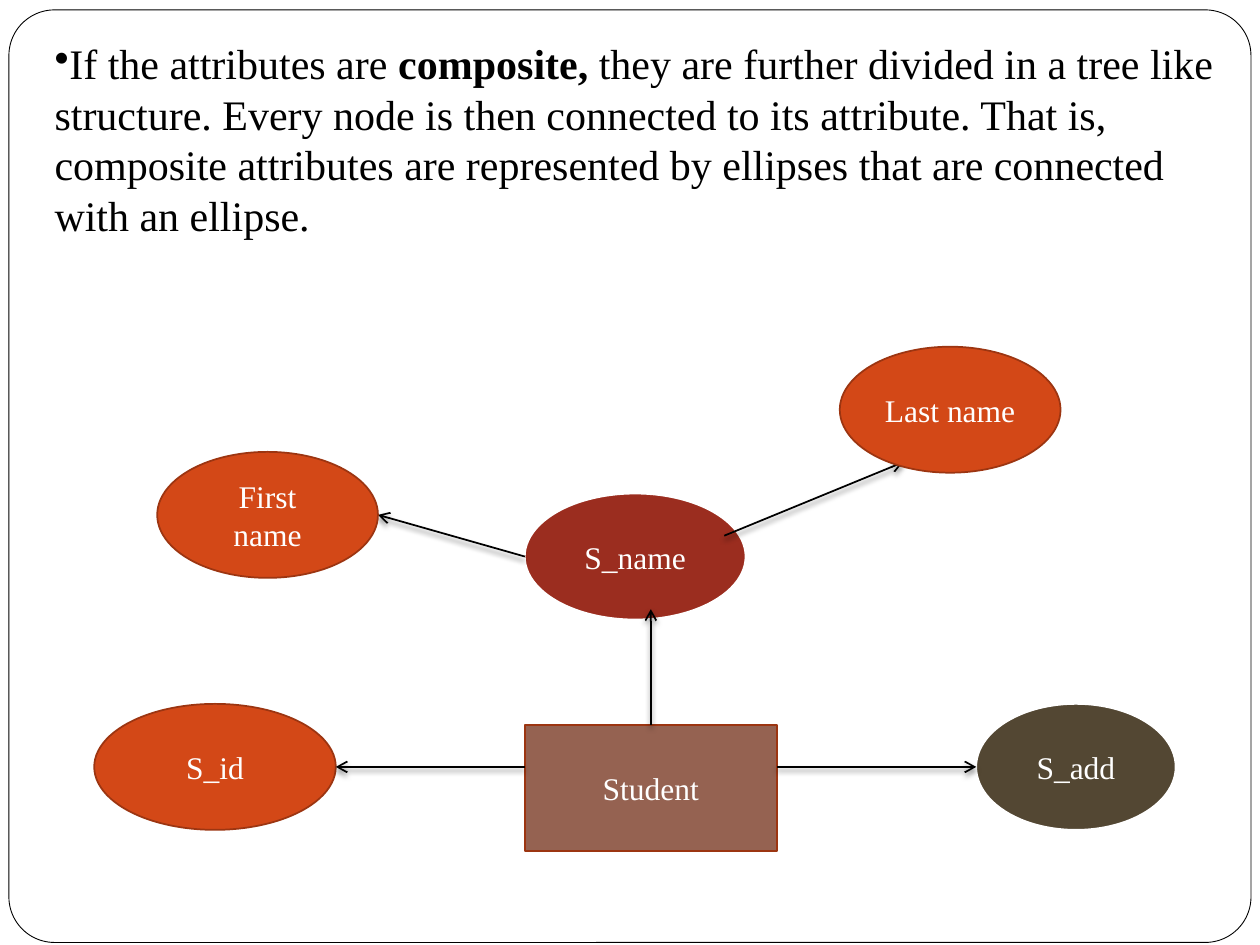
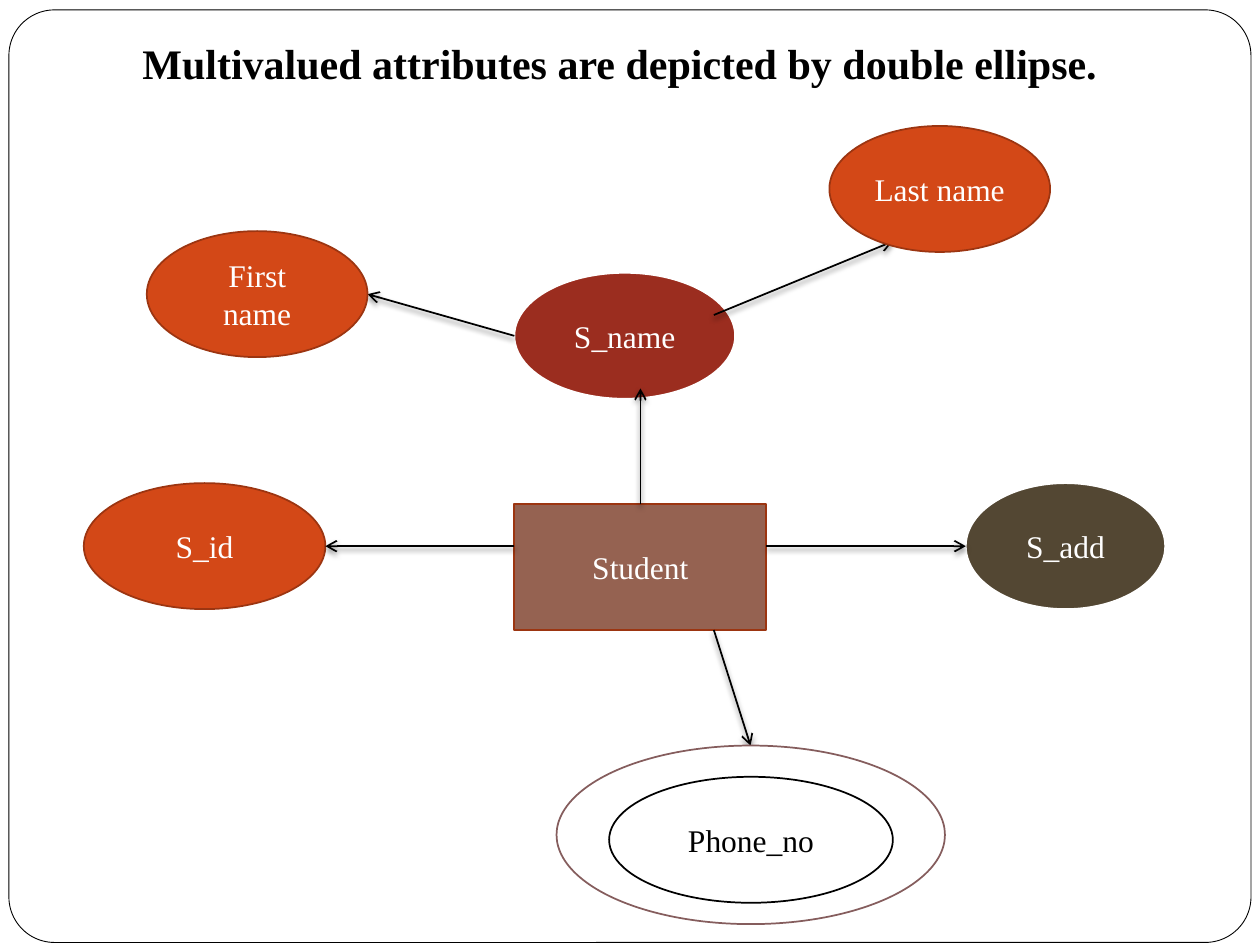
from dataclasses import dataclass
from lxml.etree import SubElement
from pptx import Presentation
from pptx.dml.color import RGBColor
from pptx.enum.shapes import MSO_CONNECTOR, MSO_SHAPE
from pptx.enum.text import MSO_ANCHOR, PP_ALIGN
from pptx.oxml.ns import qn
from pptx.util import Cm, Pt


@dataclass(frozen=True)
class Theme:
    font: str = "Times New Roman"
    heading: int = 24
    label: int = 18
    line: float = 1
    frame_line: float = 0.5
    black: str = "000000"
    white: str = "FFFFFF"
    orange: str = "D34817"
    rust: str = "9C3511"
    red: str = "9B2D1F"
    brown: str = "956251"
    olive: str = "534733"
    mauve: str = "855D5D"


T = Theme()


def put(s, text, at, shape=None, fill=T.white, line=T.white, width=T.line,
        size=T.label, color=T.white, align=PP_ALIGN.CENTER, bullet=False):
    box = [Cm(v) for v in at]
    if shape is None:
        sp = s.shapes.add_textbox(*box)
    else:
        sp = s.shapes.add_shape(shape, *box)
        sp.shadow.inherit = False
        sp.fill.solid()
        sp.fill.fore_color.rgb = RGBColor.from_string(fill)
        sp.line.color.rgb = RGBColor.from_string(line)
        sp.line.width = Pt(width)
    tf = sp.text_frame
    tf.word_wrap = True
    tf.vertical_anchor = MSO_ANCHOR.MIDDLE if shape else MSO_ANCHOR.TOP
    p = tf.paragraphs[0]
    p.alignment = align
    if bullet:
        SubElement(p._p.get_or_add_pPr(), qn("a:buChar"), char="•")
    for i, part in enumerate(text.split("*")):
        if part:
            r = p.add_run()
            r.text = part
            r.font.name = T.font
            r.font.size = Pt(size)
            r.font.bold = i % 2 == 1
            r.font.color.rgb = RGBColor.from_string(color)
    return sp


def arrow(s, x1, y1, x2, y2):
    c = s.shapes.add_connector(MSO_CONNECTOR.STRAIGHT, Cm(x1), Cm(y1), Cm(x2), Cm(y2))
    c.line.color.rgb = RGBColor.from_string(T.black)
    c.line.width = Pt(T.line)
    SubElement(c.line._get_or_add_ln(), qn("a:tailEnd"), type="arrow")
    effects = SubElement(c._element.spPr, qn("a:effectLst"))
    shadow = SubElement(effects, qn("a:outerShdw"), blurRad=str(Pt(3)),
                        dist=str(Pt(2)), dir="5400000", rotWithShape="0")
    clr = SubElement(shadow, qn("a:srgbClr"), val=T.black)
    SubElement(clr, qn("a:alpha"), val="50000")


prs = Presentation()
prs.slide_width, prs.slide_height = Cm(25.4), Cm(19.05)

NODE_H = 2.54
OVAL = MSO_SHAPE.OVAL
entities = [
    ("Student", 0, 0, 5.08, MSO_SHAPE.RECTANGLE, T.brown, T.rust),
    ("S_id", -8.68, -0.42, 4.87, OVAL, T.orange, T.rust),
    ("S_name", 0, -4.66, 4.45, OVAL, T.red, T.white),
    ("S_add", 9.1, -0.42, 4.02, OVAL, T.olive, T.white),
]
name_parts = [
    ("Last name", 6.35, -7.62, 4.45, OVAL, T.orange, T.rust),
    ("First name", -7.41, -5.5, 4.45, OVAL, T.orange, T.rust),
]
arrows = [
    (0, 0.85, -3.81, 0.85),
    (2.54, 0, 2.54, -2.33),
    (5.08, 0.85, 9.1, 0.85),
    (4.02, -3.81, 7.62, -5.29),
    (0, -3.39, -2.96, -4.23),
]
composite = (
    "If the attributes are *composite, *they are further divided in a tree like "
    "structure. Every node is then connected to its attribute. That is, composite "
    "attributes are represented by ellipses that are connected with an ellipse."
)
multivalued = "*Multivalued attributes are depicted by double ellipse.*"
pages = [
    (composite, (0.85, 0.64, 23.92, 4.36), PP_ALIGN.LEFT, True, 10.58, 14.61),
    (multivalued, (0.64, 0.64, 23.71, 1.27), PP_ALIGN.CENTER, False, 10.37, 10.16),
]

for text, box, align, bullet, x0, y0 in pages:
    s = prs.slides.add_slide(prs.slide_layouts[6])
    frame = put(s, "", (0.18, 0.2, 25.04, 18.8), MSO_SHAPE.ROUNDED_RECTANGLE,
                line=T.black, width=T.frame_line)
    frame.adjustments[0] = 0.049
    put(s, text, box, size=T.heading, color=T.black, align=align, bullet=bullet)
    for label, x, y, w, shape, fill, line in entities:
        put(s, label, (x0 + x, y0 + y, w, NODE_H), shape, fill, line)
    for x1, y1, x2, y2 in arrows:
        arrow(s, x0 + x1, y0 + y1, x0 + x2, y0 + y2)
    for label, x, y, w, shape, fill, line in name_parts:
        put(s, label, (x0 + x, y0 + y, w, NODE_H), shape, fill, line)

arrow(s, x0 + 4.02, y0 + NODE_H, x0 + 4.76, y0 + 4.87)
put(s, "", (x0 + 0.85, y0 + 4.87, 7.83, 3.6), OVAL, line=T.mauve)
put(s, "Phone_no", (x0 + 1.91, y0 + 5.5, 5.72, NODE_H), OVAL, line=T.black, color=T.black)

prs.save("out.pptx")
